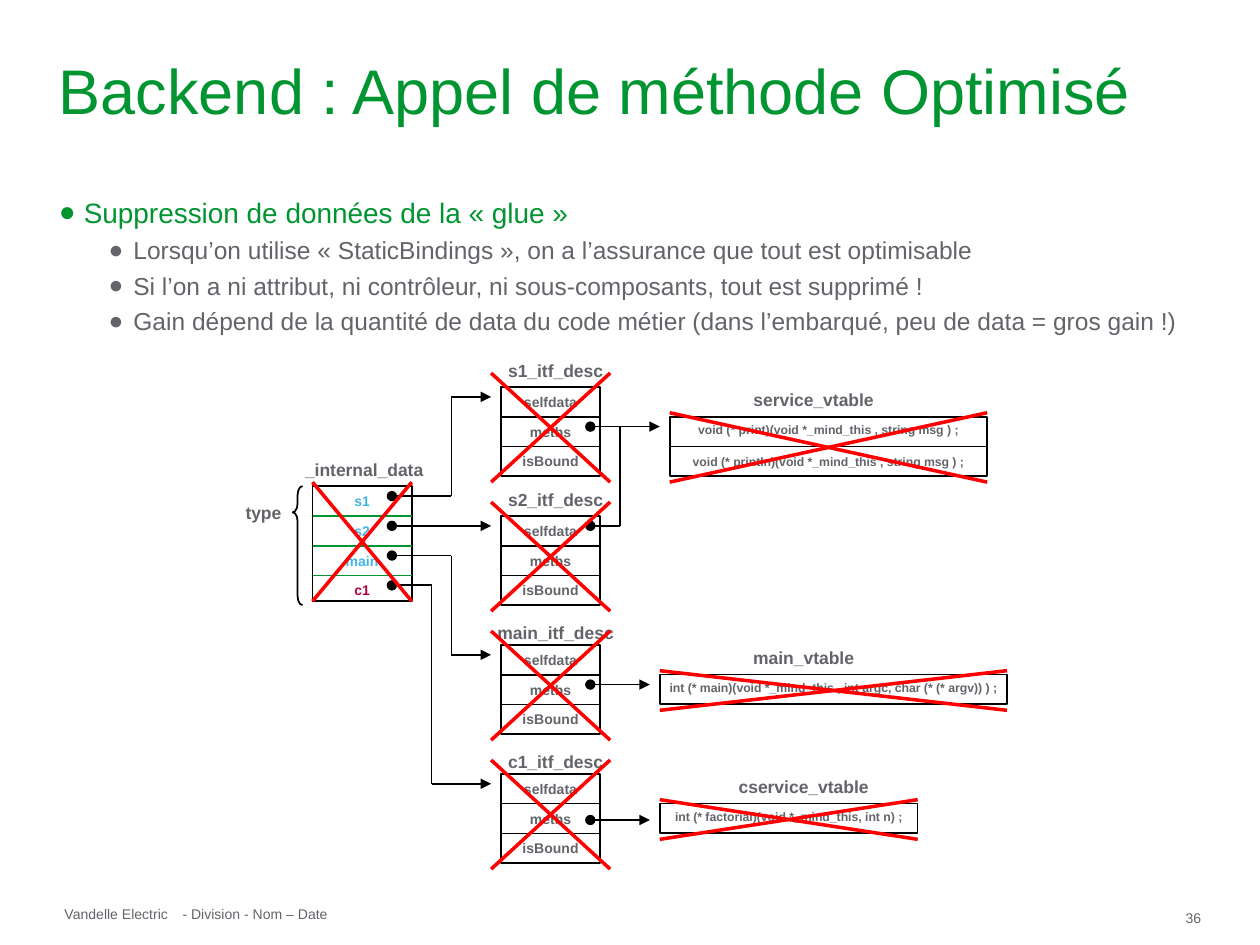
"""Build the slide on optimised method calls in the backend."""
from lxml.etree import SubElement
from pptx import Presentation
from pptx.dml.color import RGBColor
from pptx.enum.shapes import MSO_CONNECTOR as Connector, MSO_SHAPE as Shape
from pptx.enum.text import MSO_ANCHOR as Anchor, PP_ALIGN as Align
from pptx.oxml.ns import qn
from pptx.util import Cm, Pt

GREEN = RGBColor(0x00, 0x95, 0x30)
GREY = RGBColor(0x62, 0x64, 0x69)
BLUE = RGBColor(0x42, 0xB4, 0xE6)
CRIMSON = RGBColor(0xB1, 0x00, 0x43)
BLACK = RGBColor(0x00, 0x00, 0x00)
RED = RGBColor(0xFF, 0x00, 0x00)

prs = Presentation()
prs.slide_width, prs.slide_height = Cm(25.4), Cm(19.05)
slide = prs.slides.add_slide(prs.slide_layouts[6])
shapes = slide.shapes


def add_text(text, left, top, width, height, size, color=GREY, bold=True,
             align=Align.CENTER, inset=(0.25, 0.13), wrap=True):
    box = shapes.add_textbox(Cm(left), Cm(top), Cm(width), Cm(height))
    frame = box.text_frame
    frame.word_wrap = wrap
    frame.margin_left = frame.margin_right = Cm(inset[0])
    frame.margin_top = frame.margin_bottom = Cm(inset[1])
    paragraph = frame.paragraphs[0]
    paragraph.alignment = align
    run = paragraph.add_run()
    run.text = text
    run.font.name, run.font.size, run.font.bold = "Arial", Pt(size), bold
    run.font.color.rgb = color
    return frame


def add_line(x1, y1, x2, y2, color=BLACK, width=1, head=None, tail=None):
    line = shapes.add_connector(Connector.STRAIGHT, Cm(x1), Cm(y1), Cm(x2), Cm(y2))
    line.line.color.rgb = color
    line.line.width = Pt(width)
    outline = line.line._get_or_add_ln()
    for tag, kind in (("a:headEnd", head), ("a:tailEnd", tail)):
        if kind:
            SubElement(outline, qn(tag), type=kind)
    SubElement(line._element.spPr, qn("a:effectLst"))
    return line


plain = {"bold": False, "align": Align.LEFT, "inset": (0, 0)}
add_text("Vandelle Electric", 1.3, 18.26, 2.29, 0.33, 8, wrap=False, **plain)
add_text("36", 23.9, 18.34, 0.81, 0.2, 8, **plain)
add_text("- Division - Nom – Date", 3.68, 18.26, 3.02, 0.33, 8, wrap=False, **plain)
title = add_text("Backend : Appel de méthode Optimisé", 1.19, 0.2, 23.01, 3.2, 36, GREEN, **plain)
title.vertical_anchor = Anchor.MIDDLE

points = [
    ("Suppression de données de la «\u00a0glue\u00a0»", 0, 16, GREEN, 0.5, 0),
    ("Lorsqu’on utilise «\u00a0StaticBindings\u00a0», on a l’assurance que tout est optimisable",
     1, 14, GREY, 1.5, 3.5),
    ("Si l’on a ni attribut, ni contrôleur, ni sous-composants, tout est supprimé !",
     1, 14, GREY, 1.5, 3.5),
    ("Gain dépend de la quantité de data du code métier (dans l’embarqué, peu de data = gros gain !)",
     1, 14, GREY, 1.5, 3.5),
]
body = shapes.add_textbox(Cm(1.19), Cm(3.94), Cm(23.11), Cm(13.8)).text_frame
body.word_wrap = True
body.margin_left = body.margin_top = 0
body.margin_right, body.margin_bottom = Cm(0.05), Cm(0.03)
for index, (text, level, size, color, indent, before) in enumerate(points):
    paragraph = body.add_paragraph() if index else body.paragraphs[0]
    paragraph.level = level
    paragraph.space_before = Pt(before)
    properties = paragraph._p.get_or_add_pPr()
    properties.set("marL", str(Cm(indent)))
    properties.set("indent", str(-Cm(0.5)))
    SubElement(SubElement(properties, qn("a:buClr")), qn("a:srgbClr"), val=str(color))
    SubElement(properties, qn("a:buFont"), typeface="Arial")
    SubElement(properties, qn("a:buChar"), char="●")
    run = paragraph.add_run()
    run.text = text
    run.font.name, run.font.size = "Arial", Pt(size)
    run.font.color.rgb = color

ROW = 0.6
crosses = [(6.3, 9.72, 8.3, 12.12)]
frames = [(6.3, 9.8, 2, 2.32)]

interfaces = [("s1_itf_desc", 7.8, 7.12), ("s2_itf_desc", 10.4, 9.72),
              ("main_itf_desc", 13, 12.4), ("c1_itf_desc", 15.6, 15.02)]
for name, top, label_top in interfaces:
    frames.append((10.1, top, 2, 3 * ROW))
    crosses.append((9.9, top - 0.28, 12.3, top + 1.92))

vtables = [
    ("service_vtable", 16.4, 7.72, 13.5, 8.4, 6.4,
     ["void (* print)(void *_mind_this , string msg ) ;",
      "void (* println)(void *_mind_this , string msg ) ;"]),
    ("main_vtable", 16.2, 12.92, 13.3, 13.6, 7,
     ["int (* main)(void *_mind_this , int argc, char (* (* argv)) ) ;"]),
    ("cservice_vtable", 16.2, 15.52, 13.3, 16.2, 5.2,
     ["int (* factorial)(void *_mind_this, int n) ;"]),
]
for name, center, label_top, left, top, width, signatures in vtables:
    height = len(signatures) * ROW
    frames.append((left, top, width, height))
    crosses.append((left, top - 0.08, left + width, top + height + 0.12))

rectangles = {}
for left, top, width, height in frames:
    rectangle = shapes.add_shape(Shape.RECTANGLE, Cm(left), Cm(top), Cm(width), Cm(height))
    rectangle.shadow.inherit = False
    rectangle.fill.background()
    rectangle.line.color.rgb = BLACK
    rectangle.line.width = Pt(1)
    rectangles[left, top] = rectangle

add_text("_internal_data", 5.9, 9.12, 3, 0.69, 10, align=Align.LEFT)
fields = [("s1", BLUE), ("s2", BLUE), ("main", BLUE), ("c1", CRIMSON)]
for row, (field, color) in enumerate(fields):
    row_top = 9.8 + row * ROW
    if row:
        add_line(6.3, row_top, 8.3, row_top, GREEN)
    add_text(field, 6.3, row_top, 2, ROW, 8, color)

for name, top, label_top in interfaces:
    add_text(name, 9.5, label_top, 3.4, 0.69, 10)
    for row, member in enumerate(["selfdata", "meths", "isBound"]):
        row_top = top + row * ROW
        if row:
            add_line(10.1, row_top, 12.1, row_top)
        add_text(member, 10.1, row_top, 2, ROW, 8)

for name, center, label_top, left, top, width, signatures in vtables:
    add_text(name, center - 1.7, label_top, 3.4, 0.69, 10)
    for row, signature in enumerate(signatures):
        add_text(signature, left - 0.2, top - 0.02 + row * 0.64, width + 0.4, 0.56, 7)

divider = add_line(13.5, 9, 19.9, 9)
divider.begin_connect(rectangles[13.5, 8.4], 1)
divider.end_connect(rectangles[13.5, 8.4], 3)

for bend, start, end in [(9.1, 10, 8), (9.1, 11.2, 13.2), (8.7, 11.8, 15.8)]:
    add_line(bend, start, 7.9, start, tail="oval")
    add_line(bend, start, bend, end)
    add_line(bend, end, 9.9, end, tail="triangle")
for tip, start, y in [(9.9, 7.9, 10.6), (13.3, 11.9, 8.6), (13.1, 11.9, 13.8), (13.1, 11.9, 16.53)]:
    add_line(tip, y, start, y, head="triangle", tail="oval")
add_line(12.5, 10.6, 11.9, 10.6, tail="oval")
add_line(12.5, 8.6, 12.5, 10.6)

brace = shapes.add_shape(Shape.LEFT_BRACE, Cm(5.9), Cm(9.8), Cm(0.2), Cm(2.4))
brace.shadow.inherit = False
brace.fill.background()
brace.line.color.rgb = BLACK
brace.line.width = Pt(1)
brace.adjustments[0], brace.adjustments[1] = 0.9, 0.22
add_text("type", 4.7, 10, 1.6, 0.69, 10, align=Align.LEFT)

for left, top, right, bottom in crosses:
    add_line(left, bottom, right, top, RED, 2)
    add_line(left, top, right, bottom, RED, 2)

prs.save("out.pptx")
